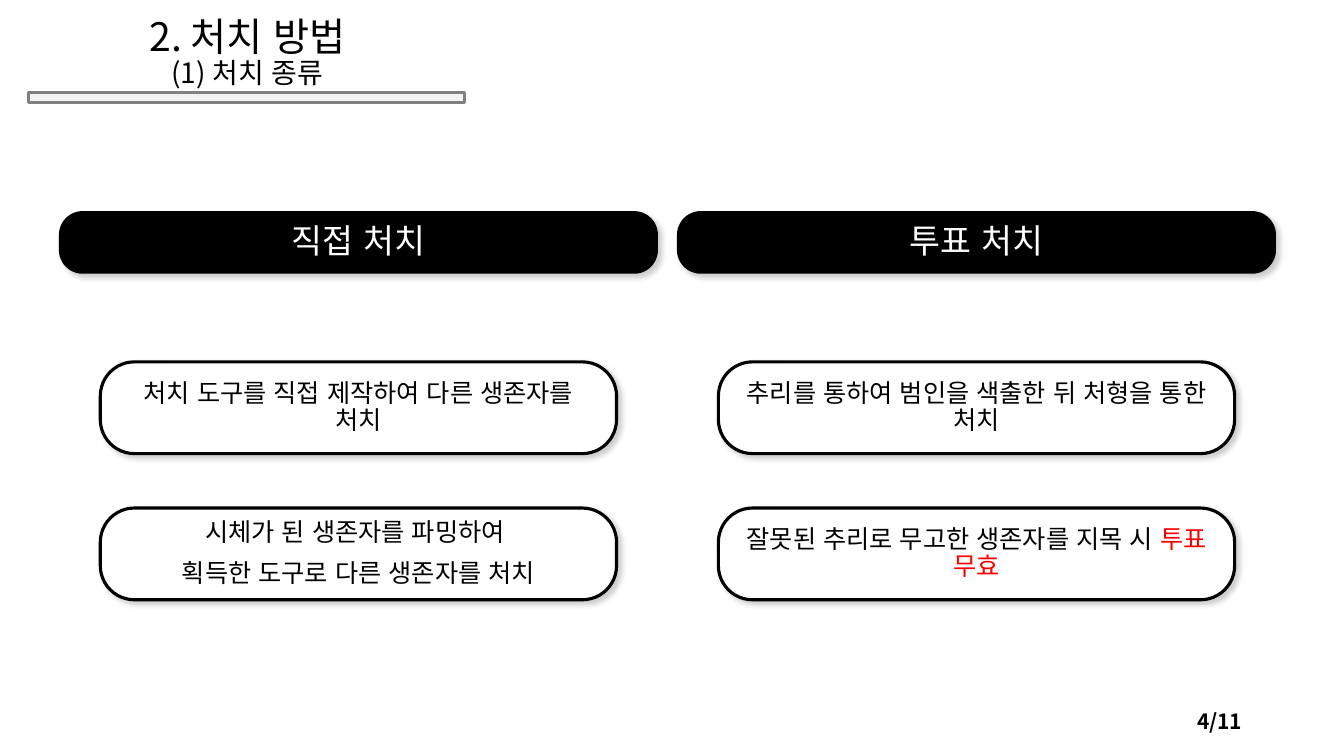
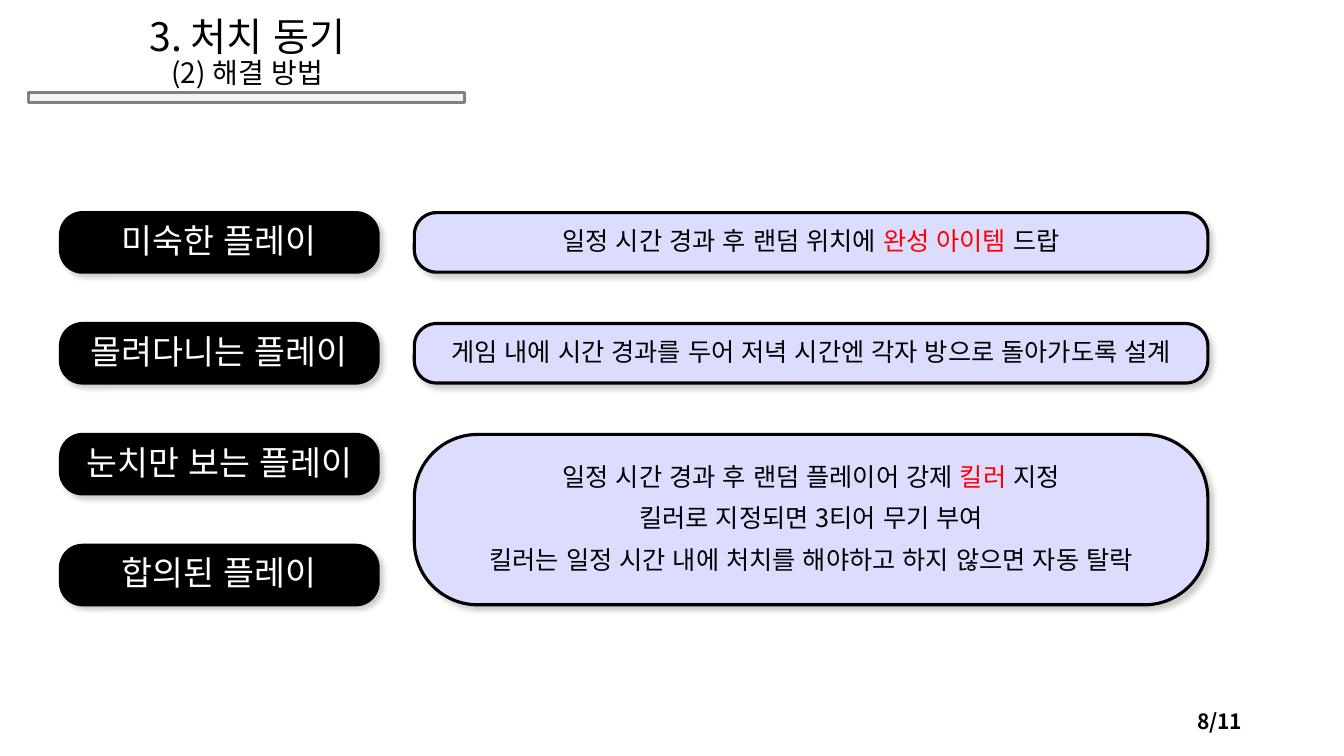
from lxml import etree
from pptx import Presentation
from pptx.dml.color import RGBColor
from pptx.enum.lang import MSO_LANGUAGE_ID
from pptx.enum.shapes import MSO_SHAPE
from pptx.enum.text import MSO_ANCHOR, PP_ALIGN
from pptx.oxml.ns import qn
from pptx.util import Inches, Pt

RECT, ROUND_RECT = MSO_SHAPE.RECTANGLE, MSO_SHAPE.ROUNDED_RECTANGLE
MIDDLE, BOTTOM = MSO_ANCHOR.MIDDLE, MSO_ANCHOR.BOTTOM
CENTER, RIGHT = PP_ALIGN.CENTER, PP_ALIGN.RIGHT
KOREAN = MSO_LANGUAGE_ID.KOREAN

FONT = "Noto Sans CJK KR"
BLACK, WHITE, RED = "000000", "FFFFFF", "FF0000"
LAVENDER, BAR_FILL, BAR_LINE = "DCDCFF", "F2F2F2", "808080"
PAGE_COUNT = 11
LEFT, TOP, LABEL_H = 0.6, 2.11, 0.59


def rgb(value):
    return RGBColor.from_string(value)


def inches(box):
    return [Inches(v) for v in box]


def write(tf, paragraphs, sizes=(18,), color=BLACK, bold=None, align=CENTER,
          anchor=MIDDLE, line_spacing=0.9, space_before=10):
    """Write paragraphs, each a string or a list of (text, colour) runs; the last size repeats."""
    tf.word_wrap = True
    tf.vertical_anchor = anchor
    for i, runs in enumerate(paragraphs):
        p = tf.add_paragraph() if i else tf.paragraphs[0]
        p.alignment = align
        p.line_spacing = line_spacing
        p.space_before = Pt(space_before if i else 0)
        for text, run_color in [(runs, color)] if isinstance(runs, str) else runs:
            r = p.add_run()
            r.text = text
            r.font.size = Pt(sizes[min(i, len(sizes) - 1)])
            r.font.bold = bold
            r.font.name = FONT
            r.font.language_id = KOREAN
            r.font.color.rgb = rgb(run_color)
            etree.SubElement(r.font._element, qn("a:ea"), typeface=FONT)


def add_block(slide, kind, box, fill, line):
    sp = slide.shapes.add_shape(kind, *inches(box))
    sp.shadow.inherit = False
    sp.fill.solid()
    sp.fill.fore_color.rgb = rgb(fill)
    sp.line.color.rgb = rgb(line)
    sp.line.width = Pt(2.25)
    return sp


def add_shadow(sp):
    effects = sp._element.spPr.find(qn("a:effectLst"))
    shadow = etree.SubElement(effects, qn("a:outerShdw"), blurRad=str(Pt(4)),
                              dist=str(Pt(3)), dir="2700000", algn="tl", rotWithShape="0")
    color = etree.SubElement(shadow, qn("a:srgbClr"), val=BLACK)
    etree.SubElement(color, qn("a:alpha"), val="20000")


def add_card(slide, box, paragraphs, fill=WHITE, **text_format):
    sp = add_block(slide, ROUND_RECT, box, fill, BLACK)
    sp.adjustments[0] = 0.372
    add_shadow(sp)
    write(sp.text_frame, paragraphs, **text_format)


def add_label(slide, box, text):
    add_card(slide, box, [text], fill=BLACK, color=WHITE, sizes=(24,))


def add_text(slide, box, paragraphs, **text_format):
    sp = slide.shapes.add_textbox(*inches(box))
    write(sp.text_frame, paragraphs, **text_format)


def add_page(prs, title, subtitle, number):
    """Add a slide with the shared title, bar and page number."""
    slide = prs.slides.add_slide(prs.slide_layouts[6])
    add_block(slide, RECT, (0.28, 0.92, 4.33, 0.1), BAR_FILL, BAR_LINE)
    add_text(slide, (0.38, 0.29, 4.15, 0.65), [title, subtitle], sizes=(28, 20),
             anchor=BOTTOM, space_before=0)
    add_text(slide, (9.42, 6.95, 3, 0.4), [f"{number}/{PAGE_COUNT}"], sizes=(15,),
             bold=True, align=RIGHT, line_spacing=1.0)
    return slide


def add_method_column(slide, x, y, w, heading, cards):
    """Place a heading with narrower cards centred below it."""
    card_w, card_h, first, pitch = 5.12, 0.91, 1.48, 1.45
    add_label(slide, (x, y, w, LABEL_H), heading)
    for i, paragraphs in enumerate(cards):
        add_card(slide, (x + (w - card_w) / 2, y + first + i * pitch, card_w, card_h),
                 paragraphs)


def add_solution_rows(slide, x, y, rows):
    """Place labels beside solutions; a solution spans all labels of its row."""
    label_w, solution_x, solution_w, pitch = 3.15, 3.51, 7.87, 1.1
    for labels, paragraphs in rows:
        top = y
        for label in labels:
            add_label(slide, (x, y, label_w, LABEL_H), label)
            y += pitch
        add_card(slide, (x + solution_x, top, solution_w, y - top - pitch + LABEL_H),
                 paragraphs, fill=LAVENDER)


def build_methods(prs):
    slide = add_page(prs, "2. 처치 방법", "(1) 처치 종류", 4)
    columns = [
        ("직접 처치", [
            ["처치 도구를 직접 제작하여 다른 생존자를 처치"],
            ["시체가 된 생존자를 파밍하여 ", "획득한 도구로 다른 생존자를 처치"],
        ]),
        ("투표 처치", [
            ["추리를 통하여 범인을 색출한 뒤 처형을 통한 처치"],
            [[("잘못된 추리로 무고한 생존자를 지목 시 ", BLACK), ("투표 무효", RED)]],
        ]),
    ]
    width, gap = 5.91, 0.22
    for i, (heading, cards) in enumerate(columns):
        add_method_column(slide, LEFT + i * (width + gap), TOP, width, heading, cards)


def build_solutions(prs):
    slide = add_page(prs, "3. 처치 동기", "(2) 해결 방법", 8)
    add_solution_rows(slide, LEFT, TOP, [
        (["미숙한 플레이"], [
            [("일정 시간 경과 후 랜덤 위치에 ", BLACK), ("완성 아이템 ", RED), ("드랍", BLACK)],
        ]),
        (["몰려다니는 플레이"], [
            "게임 내에 시간 경과를 두어 저녁 시간엔 각자 방으로 돌아가도록 설계",
        ]),
        (["눈치만 보는 플레이", "합의된 플레이"], [
            [("일정 시간 경과 후 랜덤 플레이어 강제 ", BLACK), ("킬러", RED), (" 지정", BLACK)],
            "킬러로 지정되면 3티어 무기 부여",
            "킬러는 일정 시간 내에 처치를 해야하고 하지 않으면 자동 탈락",
        ]),
    ])


def main():
    prs = Presentation()
    prs.slide_width, prs.slide_height = Inches(13.33), Inches(7.5)
    build_methods(prs)
    build_solutions(prs)
    prs.save("out.pptx")


if __name__ == "__main__":
    main()
